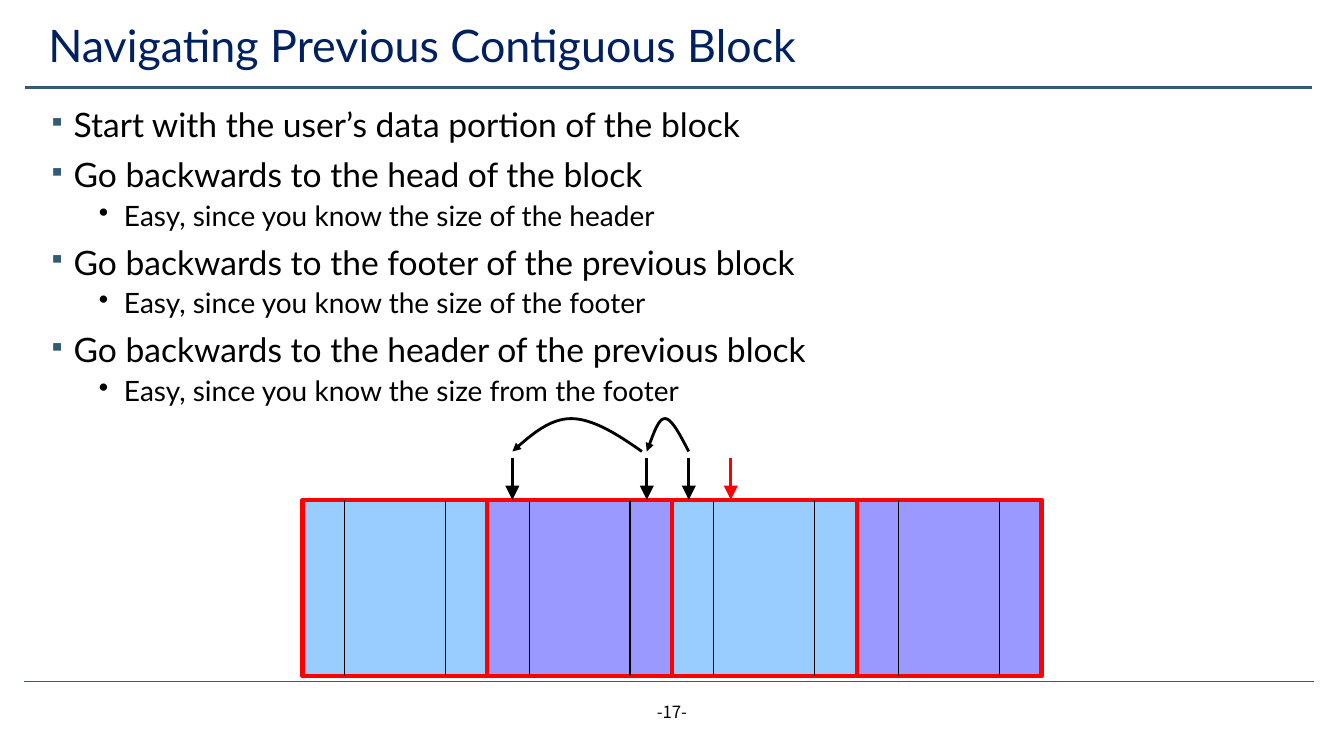
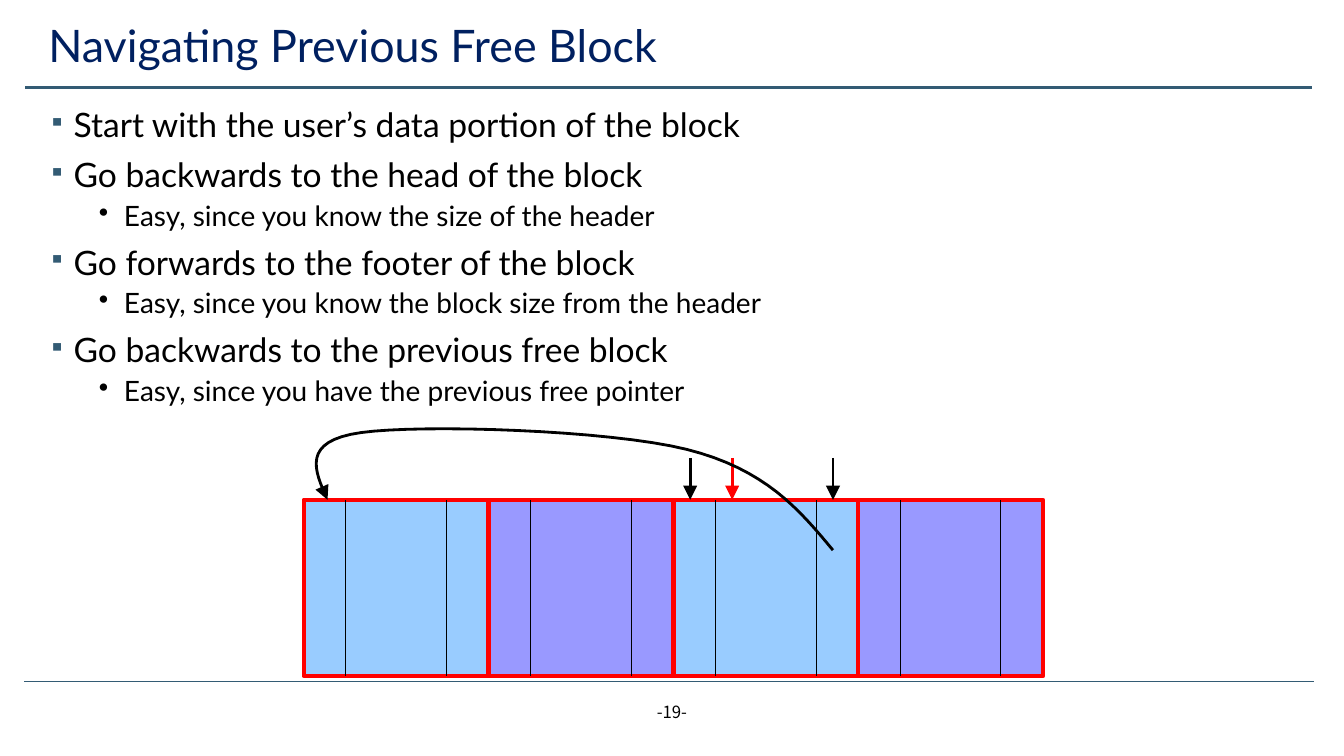
from dataclasses import dataclass
from typing import Optional

import lxml.etree
import pptx
import pptx.dml.color
import pptx.enum.shapes
import pptx.enum.text
import pptx.oxml.ns
import pptx.util

Pt = pptx.util.Pt
RGBColor = pptx.dml.color.RGBColor
PP_ALIGN = pptx.enum.text.PP_ALIGN
qn = pptx.oxml.ns.qn

# Shared look
TEAL = RGBColor(0x33, 0x5B, 0x74)
NAVY = RGBColor(0x00, 0x20, 0x60)
BLACK = RGBColor(0x00, 0x00, 0x00)
WHITE = RGBColor(0xFF, 0xFF, 0xFF)
RED = RGBColor(0xFF, 0x00, 0x00)
SKY = RGBColor(0x99, 0xCC, 0xFF)
VIOLET = RGBColor(0x99, 0x99, 0xFF)
TEXT_FONT = "Lato"
NUMBER_FONT = "Noto Sans CJK KR"

# Memory blocks: header, data, footer
BLOCK_TOP, BLOCK_WIDTH, BLOCK_HEIGHT = 357, 132, 126
BLOCK_COLORS = (SKY, VIOLET, SKY, VIOLET)
HEADER_END, FOOTER_START = 30, 102
POINTER_LENGTH = 30
CURVE_STEPS = 16

Point = tuple[float, float]


@dataclass(frozen=True)
class Bullet:
    char: str
    size: float
    indent: float
    space_before: float
    color: Optional[RGBColor] = None
    percent: int = 100


@dataclass(frozen=True)
class Pointer:
    offset: float  # from the left edge of the first block
    color: RGBColor = BLACK


@dataclass(frozen=True)
class Jump:
    points: tuple[Point, ...]  # start, then two controls and an end per curve
    head: str


@dataclass(frozen=True)
class Page:
    number: int
    title: str
    steps: tuple[tuple[int, str], ...]
    blocks_left: float
    pointers: tuple[Pointer, ...]
    jumps: tuple[Jump, ...]


BULLETS = (
    Bullet("▪", 24, 18, 10, TEAL, 70),
    Bullet("•", 20, 54, 5),
)

COMMON_STEPS = (
    (0, "Start with the user’s data portion of the block"),
    (0, "Go backwards to the head of the block"),
    (1, "Easy, since you know the size of the header"),
)

PAGES = (
    Page(
        17,
        "Navigating Previous Contiguous Block",
        COMMON_STEPS + (
            (0, "Go backwards to the footer of the previous block"),
            (1, "Easy, since you know the size of the footer"),
            (0, "Go backwards to the header of the previous block"),
            (1, "Easy, since you know the size from the footer"),
        ),
        216,
        (Pointer(306, RED), Pointer(276), Pointer(246), Pointer(150)),
        (
            Jump(((492, 322.5), (486, 311), (480, 299), (475, 299),
                  (470, 299), (466.5, 311), (462, 322.5)), "med"),
            Jump(((458.5, 322.5), (441.5, 310.5), (423.5, 299), (408, 299),
                  (392.5, 299), (379.5, 310.5), (366, 322.5)), "med"),
        ),
    ),
    Page(
        19,
        "Navigating Previous Free Block",
        COMMON_STEPS + (
            (0, "Go forwards to the footer of the block"),
            (1, "Easy, since you know the block size from the header"),
            (0, "Go backwards to the previous free block"),
            (1, "Easy, since you have the previous free pointer"),
        ),
        217,
        (Pointer(306, RED), Pointer(276), Pointer(378)),
        (
            Jump(((595, 393), (571, 364), (546.5, 335), (490.5, 321),
                  (434, 307), (301, 303), (258, 309),
                  (215, 315), (224.5, 336), (234, 357)), "lg"),
        ),
    ),
)


# Text
def add_bullet(paragraph, bullet: Bullet) -> None:
    props = paragraph._p.get_or_add_pPr()
    props.set("marL", str(Pt(bullet.indent)))
    props.set("indent", str(Pt(-18)))
    if bullet.color is not None:
        color = lxml.etree.SubElement(props, qn("a:buClr"))
        lxml.etree.SubElement(color, qn("a:srgbClr"), val=str(bullet.color))
    lxml.etree.SubElement(props, qn("a:buSzPct"), val=str(bullet.percent * 1000))
    lxml.etree.SubElement(props, qn("a:buChar"), char=bullet.char)


def write_text(paragraph, text: str, *, size: float, color: RGBColor = BLACK,
               font: str = TEXT_FONT, align: PP_ALIGN = PP_ALIGN.LEFT,
               line_spacing: float = 0.9, space_before: float = 0,
               bullet: Optional[Bullet] = None) -> None:
    if bullet is not None:
        add_bullet(paragraph, bullet)
    paragraph.alignment = align
    paragraph.line_spacing = line_spacing
    paragraph.space_before = Pt(space_before)
    run = paragraph.add_run()
    run.text = text
    run.font.size = Pt(size)
    run.font.name = font
    run.font.color.rgb = color


def add_text_frame(slide, left: float, top: float, width: float, height: float):
    box = slide.shapes.add_textbox(Pt(left), Pt(top), Pt(width), Pt(height))
    box.text_frame.word_wrap = True
    return box.text_frame


# Lines
def add_arrowhead(line, size: str) -> None:
    lxml.etree.SubElement(line._get_or_add_ln(), qn("a:tailEnd"),
                          type="triangle", w=size, len=size)


def add_line(slide, start: Point, end: Point, color: RGBColor, width: float,
             head: Optional[str] = None) -> None:
    connector = slide.shapes.add_connector(
        pptx.enum.shapes.MSO_CONNECTOR.STRAIGHT,
        Pt(start[0]), Pt(start[1]), Pt(end[0]), Pt(end[1]))
    connector.line.color.rgb = color
    connector.line.width = Pt(width)
    if head is not None:
        add_arrowhead(connector.line, head)
    lxml.etree.SubElement(connector._element.spPr, qn("a:effectLst"))


def curve_points(points: tuple[Point, ...]) -> list[Point]:
    result = []
    for first in range(0, len(points) - 1, 3):
        controls = points[first:first + 4]
        for step in range(1, CURVE_STEPS + 1):
            t = step / CURVE_STEPS
            weights = ((1 - t) ** 3, 3 * t * (1 - t) ** 2, 3 * t ** 2 * (1 - t), t ** 3)
            x, y = (sum(w * c[axis] for w, c in zip(weights, controls))
                    for axis in (0, 1))
            result.append((Pt(x), Pt(y)))
    return result


def add_jump(slide, jump: Jump) -> None:
    start_x, start_y = jump.points[0]
    builder = slide.shapes.build_freeform(Pt(start_x), Pt(start_y))
    builder.add_line_segments(curve_points(jump.points), close=False)
    arc = builder.convert_to_shape()
    arc.shadow.inherit = False
    arc.fill.background()
    arc.line.color.rgb = BLACK
    arc.line.width = Pt(2)
    add_arrowhead(arc.line, jump.head)


# Slide parts
def add_frame(slide, page: Page) -> None:
    add_line(slide, (17.5, 487), (938.5, 487), TEAL, 0.5)
    add_line(slide, (18, 62.5), (937, 62.5), TEAL, 1.75)
    number = add_text_frame(slide, 372, 497.5, 216, 29)
    write_text(number.paragraphs[0], f"-{page.number}-", size=12,
               font=NUMBER_FONT, align=PP_ALIGN.CENTER, line_spacing=1)
    title = add_text_frame(slide, 27.5, 13.5, 895, 45.5)
    write_text(title.paragraphs[0], page.title, size=32, color=NAVY)


def add_steps(slide, steps: tuple[tuple[int, str], ...]) -> None:
    frame = add_text_frame(slide, 27.5, 74, 895, 405)
    for index, (level, text) in enumerate(steps):
        paragraph = frame.add_paragraph() if index else frame.paragraphs[0]
        paragraph.level = level
        bullet = BULLETS[level]
        write_text(paragraph, text, size=bullet.size, bullet=bullet,
                   space_before=bullet.space_before if index else 0)


def add_blocks(slide, left: float) -> None:
    block_lefts = [left + index * BLOCK_WIDTH for index in range(len(BLOCK_COLORS))]
    for block_left, color in zip(block_lefts, BLOCK_COLORS):
        block = slide.shapes.add_shape(
            pptx.enum.shapes.MSO_SHAPE.RECTANGLE, Pt(block_left),
            Pt(BLOCK_TOP), Pt(BLOCK_WIDTH), Pt(BLOCK_HEIGHT))
        block.shadow.inherit = False
        block.fill.solid()
        block.fill.fore_color.rgb = color
        block.line.color.rgb = RED
        block.line.width = Pt(3)
    for block_left in block_lefts:
        for offset in (HEADER_END, FOOTER_START):
            x = block_left + offset
            add_line(slide, (x, BLOCK_TOP), (x, BLOCK_TOP + BLOCK_HEIGHT), BLACK, 0.75)


def add_page(presentation, page: Page) -> None:
    slide = presentation.slides.add_slide(presentation.slide_layouts[6])
    slide.background.fill.solid()
    slide.background.fill.fore_color.rgb = WHITE
    add_frame(slide, page)
    add_steps(slide, page.steps)
    add_blocks(slide, page.blocks_left)
    for pointer in page.pointers:
        x = page.blocks_left + pointer.offset
        add_line(slide, (x, BLOCK_TOP - POINTER_LENGTH), (x, BLOCK_TOP),
                 pointer.color, 2, head="lg")
    for jump in page.jumps:
        add_jump(slide, jump)


def main() -> None:
    presentation = pptx.Presentation()
    presentation.slide_width = Pt(960)
    presentation.slide_height = Pt(540)
    for page in PAGES:
        add_page(presentation, page)
    presentation.save("out.pptx")


if __name__ == "__main__":
    main()
